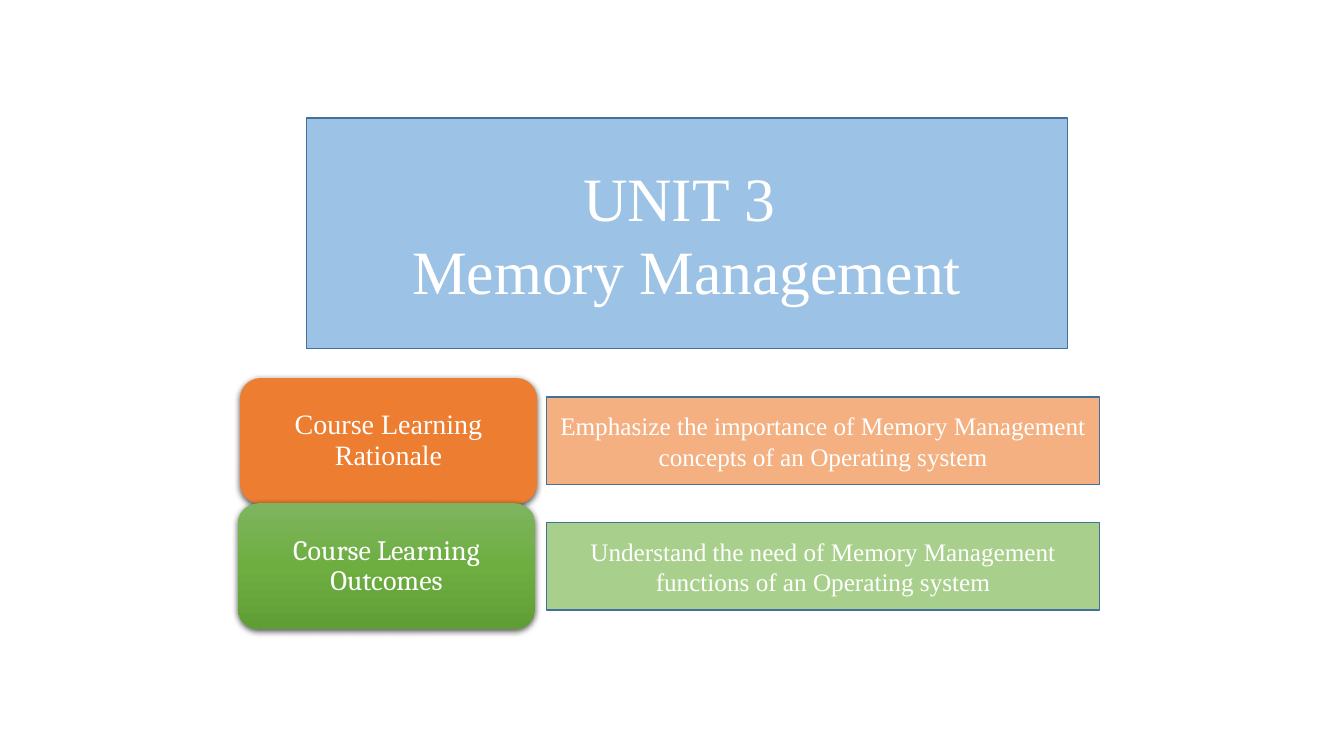
from lxml import etree
from pptx import Presentation
from pptx.dml.color import RGBColor
from pptx.enum.shapes import MSO_SHAPE as Shape
from pptx.enum.text import MSO_ANCHOR as Anchor, MSO_AUTO_SIZE as AutoSize, PP_ALIGN as Align
from pptx.oxml import parse_xml
from pptx.oxml.ns import nsdecls, qn
from pptx.util import Pt

SERIF = "Times New Roman"
ROW_TOP, ROW_PITCH = 270, 89.4
LABEL_SIZE = (212.4, 90)
GOAL_LEFT, GOAL_SIZE = 390.24, (395.28, 62.64)
GREENS = [(0, "7EB45F"), (50, "6EAE41"), (100, "5F9E35")]
ROWS = [
    (171.36, "Course Learning Rationale", SERIF, "ED7D31", "F4B081",
     "Emphasize the importance of Memory Management concepts of an Operating system"),
    (169.92, "Course Learning Outcomes", "Cambria", GREENS, "A8D08C",
     "Understand the need of Memory Management functions of an Operating system"),
]


def color(value):
    return RGBColor.from_string(value)


def paint(shape, fill, outline=None):
    shape.fill.solid()
    shape.fill.fore_color.rgb = color(fill)
    if outline:
        shape.line.color.rgb = color(outline)
        shape.line.width = Pt(1)
    else:
        shape.line.fill.background()


def paint_gradient(shape, stops):
    gradient = parse_xml(
        f'<a:gradFill {nsdecls("a")} rotWithShape="1"><a:gsLst/>'
        '<a:lin ang="5400000" scaled="0"/></a:gradFill>')
    for percent, value in stops:
        stop = etree.SubElement(gradient[0], qn("a:gs"), pos=str(percent * 1000))
        etree.SubElement(stop, qn("a:srgbClr"), val=value)
    properties = shape.element.spPr
    properties.replace(properties.find(qn("a:solidFill")), gradient)


def add_shadow(shape):
    effects = shape.element.spPr.find(qn("a:effectLst"))
    effects.append(parse_xml(
        f'<a:outerShdw {nsdecls("a")} blurRad="{Pt(4.5)}" dist="{Pt(1.5)}" '
        'dir="5400000" algn="ctr" rotWithShape="0">'
        '<a:srgbClr val="000000"><a:alpha val="63000"/></a:srgbClr></a:outerShdw>'))


def write(shape, text, size, font, spacing=1.0, insets=(7.2, 3.6)):
    frame = shape.text_frame
    frame.word_wrap = True
    frame.auto_size = AutoSize.NONE
    frame.vertical_anchor = Anchor.MIDDLE
    frame.margin_left = frame.margin_right = Pt(insets[0])
    frame.margin_top = frame.margin_bottom = Pt(insets[1])
    para = frame.paragraphs[0]
    para.text = text
    para.alignment = Align.CENTER
    para.line_spacing = spacing
    para.font.size = Pt(size)
    para.font.name = font
    para.font.color.rgb = color("FFFFFF")


def add_box(slide, kind, left, top, size):
    box = slide.shapes.add_shape(kind, Pt(left), Pt(top), *map(Pt, size))
    box.shadow.inherit = False
    return box


def set_title(slide, text):
    title = slide.shapes.title
    title.left, title.top = Pt(218.88), Pt(84.24)
    title.width, title.height = Pt(543.6), Pt(164.88)
    title.element.spPr.append(parse_xml(
        f'<a:prstGeom {nsdecls("a")} prst="roundRect"><a:avLst/></a:prstGeom>'))
    paint(title, "9CC2E5", "42719B")
    write(title, text, 44, SERIF)


def add_label(slide, left, top, text, font, fill):
    label = add_box(slide, Shape.ROUNDED_RECTANGLE, left, top, LABEL_SIZE)
    if isinstance(fill, list):
        paint(label, fill[0][1])
        paint_gradient(label, fill)
    else:
        paint(label, fill)
    add_shadow(label)
    write(label, text, 20, font, 0.9, (6, 3))


def add_goal(slide, top, text, fill):
    goal = add_box(slide, Shape.RECTANGLE, GOAL_LEFT, top, GOAL_SIZE)
    paint(goal, fill, "42719B")
    write(goal, text, 18, SERIF)


def main():
    deck = Presentation()
    deck.slide_width, deck.slide_height = Pt(960), Pt(540)
    slide = deck.slides.add_slide(deck.slide_layouts[5])
    set_title(slide, "UNIT 3 \vMemory Management")
    for index, (left, name, font, label_fill, goal_fill, goal) in enumerate(ROWS):
        top = ROW_TOP + index * ROW_PITCH
        add_label(slide, left, top, name, font, label_fill)
        add_goal(slide, top + (LABEL_SIZE[1] - GOAL_SIZE[1]) / 2, goal, goal_fill)
    deck.save("out.pptx")


if __name__ == "__main__":
    main()
